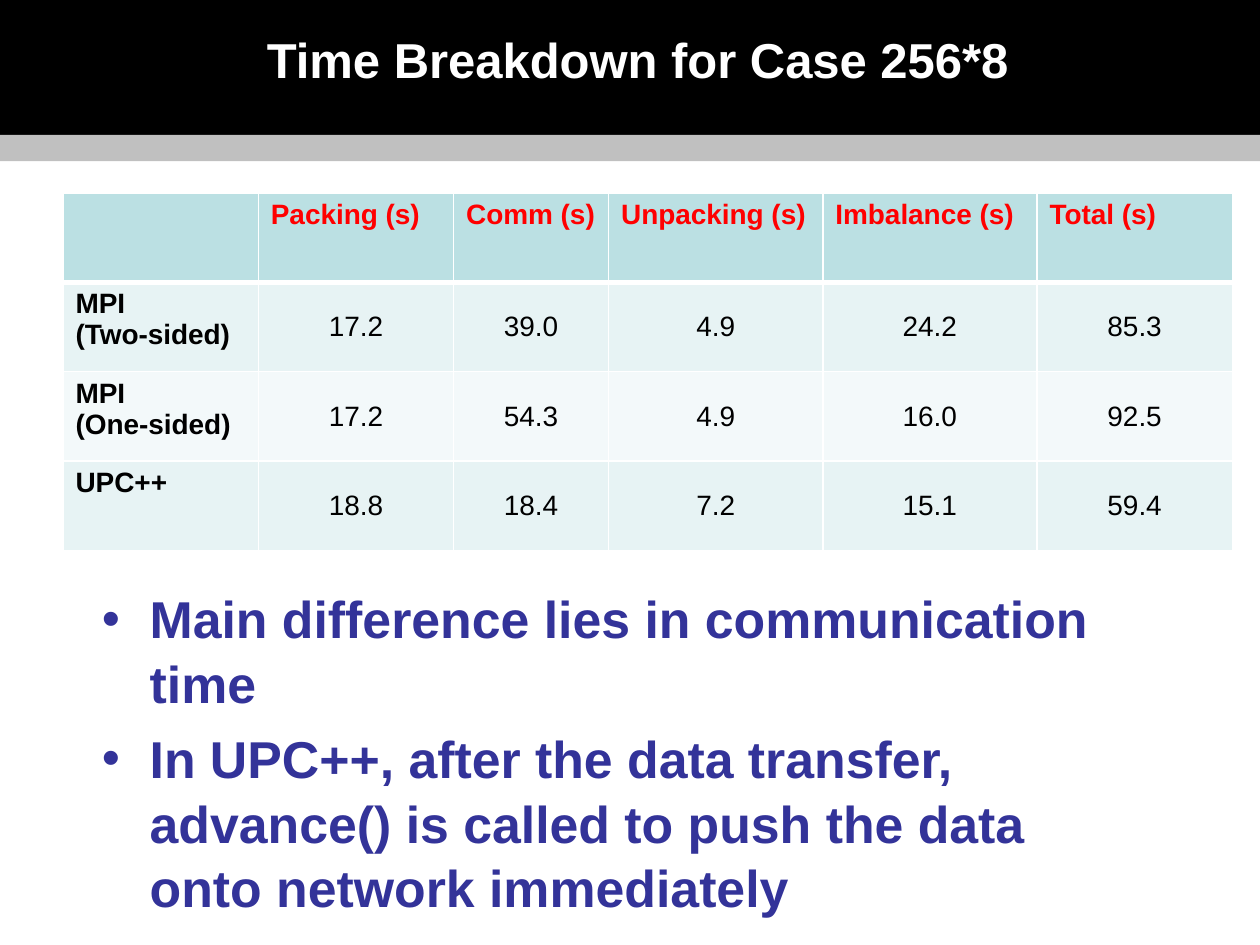
from lxml.etree import SubElement
from pptx import Presentation
from pptx.dml.color import RGBColor
from pptx.enum.shapes import MSO_SHAPE as Shape
from pptx.enum.text import MSO_ANCHOR as Anchor, PP_ALIGN as Align
from pptx.oxml.ns import qn
from pptx.util import Inches, Pt

COLORS = {
    "black": "000000",
    "white": "FFFFFF",
    "gray": "C0C0C0",
    "indigo": "333399",
    "red": "FF0000",
    "header": "BBE0E3",
    "odd": "E7F3F4",
    "even": "F3F9FA",
}


def color(name):
    return RGBColor.from_string(COLORS[name])


def write(frame, text, size=16, ink="black", bold=False, align=Align.LEFT, anchor=Anchor.TOP):
    frame.word_wrap = True
    frame.vertical_anchor = anchor
    frame.text = text
    for para in frame.paragraphs:
        para.alignment = align
        para.font.size = Pt(size)
        for span in para.runs:
            span.font.name = "Arial"
            span.font.size = Pt(size)
            span.font.bold = bold
            span.font.color.rgb = color(ink)


deck = Presentation()
deck.slide_width, deck.slide_height = Inches(10), Inches(7.5)
page = deck.slides.add_slide(deck.slide_layouts[6])

for top, height, fill in [(0, 1.17, "black"), (1.07, 0.21, "gray")]:
    band = page.shapes.add_shape(Shape.RECTANGLE, 0, Inches(top), Inches(10), Inches(height))
    band.shadow.inherit = False
    band.fill.solid()
    band.fill.fore_color.rgb = color(fill)
    band.line.fill.background()

title = page.shapes.add_textbox(Inches(1.85), 0, Inches(6.53), Inches(0.94))
write(title.text_frame, "Time Breakdown for Case 256*8 ", size=28, ink="white", bold=True,
      align=Align.CENTER, anchor=Anchor.MIDDLE)

points = [
    "Main difference lies in communication time",
    "In UPC++, after the data transfer, advance() is called to push the data onto network immediately",
]
body = page.shapes.add_textbox(Inches(0.71), Inches(4.59), Inches(8.47), Inches(2.25))
write(body.text_frame, "\n".join(points), size=29.6, ink="indigo", bold=True)
for para in body.text_frame.paragraphs:
    para.space_before = Pt(6)
    para.line_spacing = 1.04
    layout = para._p.get_or_add_pPr()
    layout.set("marL", str(Inches(0.38)))
    layout.set("indent", str(-Inches(0.38)))
    SubElement(layout, qn("a:buFont"), typeface="Arial")
    SubElement(layout, qn("a:buChar"), char="•")

rows = [
    ["", "Packing (s)", "Comm (s)", "Unpacking (s)", "Imbalance (s)", "Total (s)"],
    ["MPI\n(Two-sided)", "17.2", "39.0", "4.9", "24.2", "85.3"],
    ["MPI\n(One-sided)", "17.2", "54.3", "4.9", "16.0", "92.5"],
    ["UPC++", "18.8", "18.4", "7.2", "15.1", "59.4"],
]
widths = [1.55, 1.55, 1.23, 1.7, 1.7, 1.55]
fills = ["header", "odd", "even", "odd"]
table = page.shapes.add_table(len(rows), len(widths), Inches(0.5), Inches(1.53),
                              Inches(sum(widths)), Inches(2.84)).table
for column, width in zip(table.columns, widths):
    column.width = Inches(width)

for r, (row, fill) in enumerate(zip(rows, fills)):
    table.rows[r].height = Inches(0.71)
    for c, text in enumerate(row):
        cell = table.cell(r, c)
        if r == 0:
            write(cell.text_frame, text, ink="red", bold=True)
        elif c == 0:
            write(cell.text_frame, text, bold=True)
        else:
            write(cell.text_frame, text, align=Align.CENTER)
            cell.vertical_anchor = Anchor.MIDDLE
        borders = {"lnL": 1, "lnR": 1, "lnT": 3 if r == 1 else 1, "lnB": 3 if r == 0 else 1}
        properties = cell._tc.get_or_add_tcPr()
        for side, weight in borders.items():
            line = SubElement(properties, qn(f"a:{side}"), w=str(Pt(weight)))
            paint = SubElement(line, qn("a:solidFill"))
            SubElement(paint, qn("a:srgbClr"), val=COLORS["white"])
        cell.fill.solid()
        cell.fill.fore_color.rgb = color(fill)

deck.save("out.pptx")
